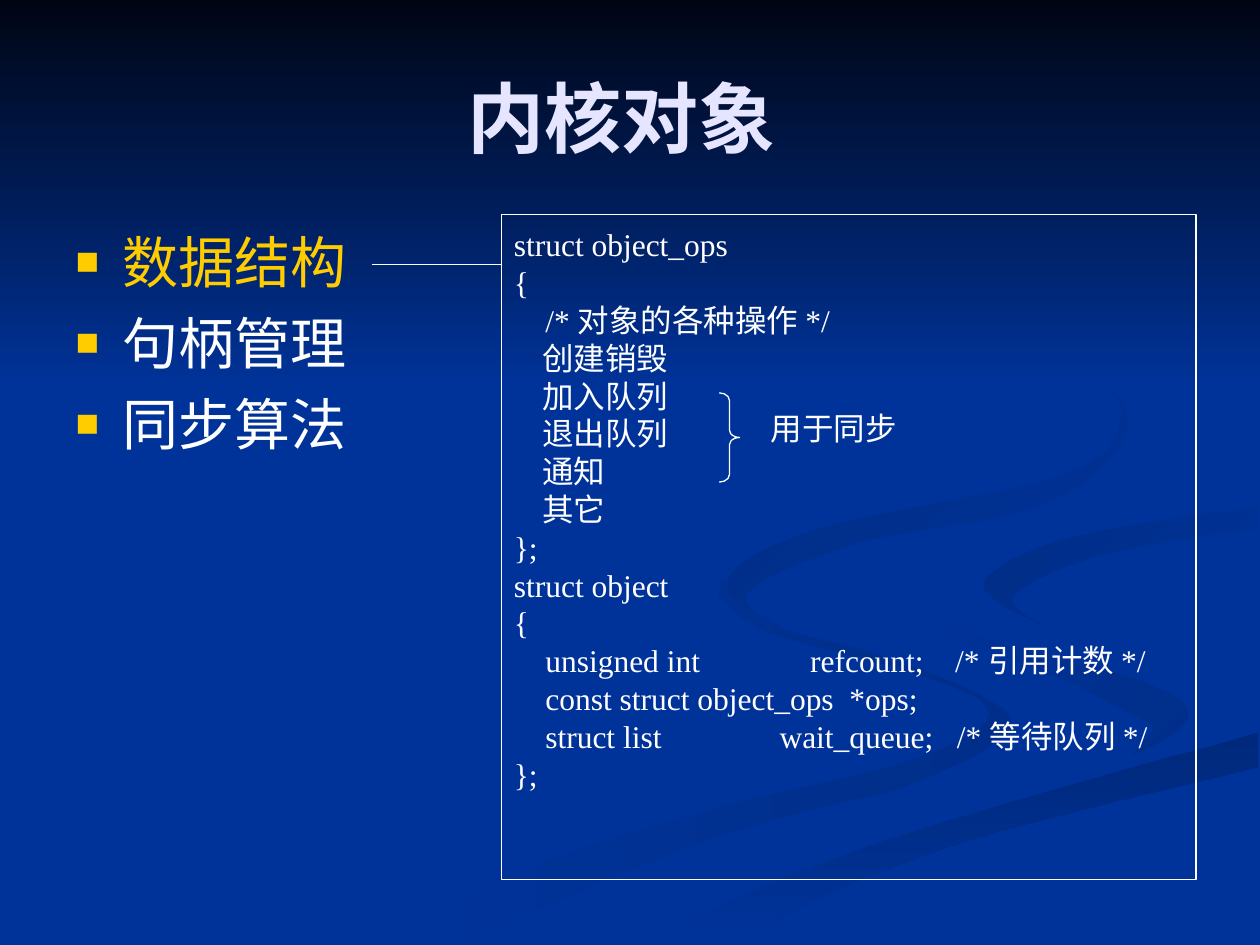
import pptx
import pptx.dml.color
import pptx.enum.shapes
import pptx.enum.text
import pptx.oxml.ns
import pptx.util
from lxml import etree

Cm = pptx.util.Cm
COLORS = {"blue": "003399", "night": "000514", "white": "FFFFFF", "gold": "FFCC00",
          "lilac": "E5E5FF", "shade": "002E8A", "deep": "00297C", "dusk": "002C85",
          "dark": "002B81"}

CODE = """struct object_ops
{
    /* 对象的各种操作 */
    创建销毁
    加入队列
    退出队列
    通知
    其它
};
struct object
{
    unsigned int              refcount;    /* 引用计数 */
    const struct object_ops  *ops;
    struct list               wait_queue;   /* 等待队列 */
};"""

# Edges shared by neighbouring ribbons, in 0.01 inch
BEND = [(725, 464), (759, 498), (905, 540), (943, 570)]
STREAM = [(503, 749), (696, 669), (999, 581)]
HOOK = [(999, 402), (850, 427), (781, 463)]

# Background ribbons, back to front: fill colours, gradient angle, smooth edges
RIBBONS = [
    (("shade", "blue"), 180, [
        [(574, 459), (610, 495), (700, 521), (781, 553), (800, 581), (721, 623),
         (564, 665), (361, 749)],
        [(300, 749), (417, 690), (579, 639), (727, 602), (785, 566), (728, 535),
         (611, 502), (570, 472)]]),
    (("shade", "blue"), 225, [
        BEND + [(894, 605)],
        [(917, 577), (838, 536), (746, 500), (724, 464)]]),
    (("deep", "blue"), 90, [STREAM, [(998, 609), (752, 672), (571, 749)]]),
    (("blue",), 0, [
        BEND + [(869, 611), (663, 668), (477, 749)],
        STREAM,
        [(999, 538), (848, 503)] + HOOK[::-1],
        [(999, 387), (788, 422), (725, 464)]]),
    (("blue", "dusk"), 225, [
        HOOK + [(826, 496)],
        [(826, 496), (805, 472), (878, 439), (998, 420)]]),
    (("blue", "dark"), 225, [
        [(762, 233), (864, 291), (889, 335), (842, 378), (649, 420), (577, 462), (622, 500)],
        [(622, 500), (593, 470), (683, 430), (825, 402), (894, 344), (864, 291), (762, 233)]]),
    (("night", "blue"), 90, [[(0, 0), (1000, 0)], [(1000, 308), (0, 308)]]),
]


def color(name):
    return pptx.dml.color.RGBColor.from_string(COLORS[name])


def smooth(edge, steps=6):
    """Points of a Catmull-Rom curve through the points of an edge."""
    padded = [edge[0], *edge, edge[-1]]
    curve = [edge[0]]
    for quad in zip(padded, padded[1:], padded[2:], padded[3:]):
        for step in range(1, steps + 1):
            t = step / steps
            curve.append(tuple(
                round(b + t * (c - a + t * (2 * a - 5 * b + 4 * c - d
                                            + t * (3 * b - a - 3 * c + d))) / 2)
                for a, b, c, d in zip(*quad)))
    return curve


def write(para, text, size=18, fill="white", bold=False, font="Times New Roman"):
    span = para.add_run()
    span.text = text
    span.font.name, span.font.size, span.font.bold = font, pptx.util.Pt(size), bold
    span.font.color.rgb = color(fill)


class SlideMaker:
    line_width = pptx.util.Pt(0.75)
    bullet_indent = Cm(0.95)

    def __init__(self, page):
        self.page = page
        page.background.fill.solid()
        page.background.fill.fore_color.rgb = color("blue")

    def ribbon(self, fills, angle, edges):
        points = [point for edge in edges for point in smooth(edge)]
        builder = self.page.shapes.build_freeform(*points[0], scale=Cm(0.0254))
        builder.add_line_segments(points[1:], close=True)
        shape = builder.convert_to_shape()
        shape.shadow.inherit = False
        shape.line.fill.background()
        if len(fills) == 1:
            shape.fill.solid()
            shape.fill.fore_color.rgb = color(fills[0])
            return
        shape.fill.gradient()
        shape.fill.gradient_angle = 360 - angle
        for stop, name, position in zip(shape.fill.gradient_stops, fills, (0, 1)):
            stop.color.rgb, stop.position = color(name), position

    def placeholder(self, index, left, top, width, height):
        """Place a template placeholder in front of everything drawn so far."""
        box = self.page.placeholders[index]
        box.left, box.top, box.width, box.height = map(Cm, (left, top, width, height))
        box.text_frame.auto_size = pptx.enum.text.MSO_AUTO_SIZE.NONE
        box.element.getparent().append(box.element)
        return box.text_frame

    def title(self, text, *place):
        frame = self.placeholder(0, *place)
        frame.vertical_anchor = pptx.enum.text.MSO_ANCHOR.MIDDLE
        write(frame.paragraphs[0], text, size=44, fill="lilac", bold=True)

    def bullets(self, items, *place):
        frame = self.placeholder(1, *place)
        qn = pptx.oxml.ns.qn
        for number, (text, fill) in enumerate(items):
            para = frame.add_paragraph() if number else frame.paragraphs[0]
            props = para._p.get_or_add_pPr()
            props.set("marL", str(int(self.bullet_indent)))
            props.set("indent", str(-int(self.bullet_indent)))
            paint = etree.SubElement(props, qn("a:buClr"))
            etree.SubElement(paint, qn("a:srgbClr"), val=COLORS["gold"])
            etree.SubElement(props, qn("a:buSzPct"), val="70000")
            etree.SubElement(props, qn("a:buChar"), char="■")
            para.space_before = pptx.util.Pt(8 if number else 0)
            write(para, text, size=32, fill=fill)

    def text(self, text, *place):
        frame = self.page.shapes.add_textbox(*map(Cm, place)).text_frame
        frame.word_wrap = True
        for number, line in enumerate(text.split("\n")):
            write(frame.add_paragraph() if number else frame.paragraphs[0], line)

    def outline(self, kind, *place):
        shape = self.page.shapes.add_shape(kind, *map(Cm, place))
        shape.shadow.inherit = False
        shape.fill.background()
        shape.line.color.rgb, shape.line.width = color("white"), self.line_width
        return shape

    def line(self, *ends):
        straight = pptx.enum.shapes.MSO_CONNECTOR.STRAIGHT
        line = self.page.shapes.add_connector(straight, *map(Cm, ends))
        line.line.color.rgb, line.line.width = color("white"), self.line_width
        etree.SubElement(line._element.spPr, pptx.oxml.ns.qn("a:effectLst"))


def main():
    deck = pptx.Presentation()
    deck.slide_width, deck.slide_height = Cm(25.4), Cm(19.05)
    maker = SlideMaker(deck.slides.add_slide(deck.slide_layouts[1]))
    kinds = pptx.enum.shapes.MSO_SHAPE

    # Background
    for ribbon in RIBBONS:
        maker.ribbon(*ribbon)

    # Title and topics
    maker.title("内核对象 ", 1.27, 0.76, 22.86, 3.18)
    maker.bullets([("数据结构", "gold"), ("句柄管理", "white"), ("同步算法", "white")],
                  1.27, 4.45, 22.86, 12.57)

    # Code panel, linked to the first topic
    maker.text(CODE, 10.11, 4.42, 13.89, 13.21)
    maker.outline(kinds.RECTANGLE, 10.11, 4.32, 14, 13.41)
    maker.line(7.49, 5.33, 10.11, 5.33)

    # Brace with its label
    brace = maker.outline(kinds.RIGHT_BRACE, 14.5, 7.92, 0.41, 1.8)
    brace.adjustments[0] = 0.37
    maker.text("用于同步", 15.29, 8.13, 3.2, 1.02)

    deck.save("out.pptx")


if __name__ == "__main__":
    main()
